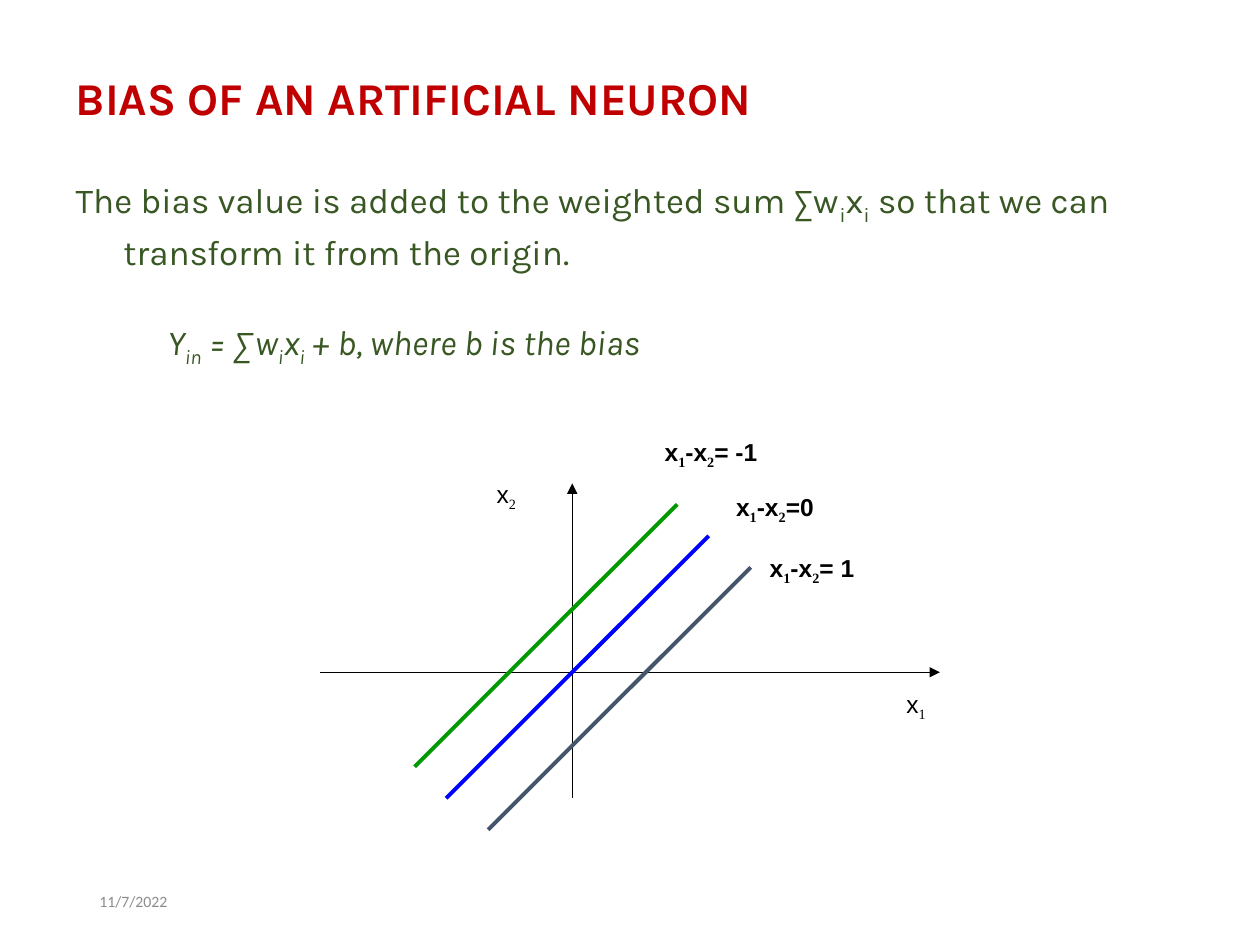
import pptx
import pptx.dml.color
import pptx.enum.shapes
import pptx.enum.text
import pptx.oxml.ns
import pptx.util
from lxml import etree

WIDTH, HEIGHT = pptx.util.Inches(10), pptx.util.Inches(7.5)
GREEN_TEXT = "385723"
LINES = [  # start and end in grid steps from the origin, colour
    ((10, 16), (-15, -9), "009900"),
    ((13, 13), (-12, -12), "0000FF"),
    ((17, 10), (-8, -15), "44546A"),
]
LABELS = [  # top left in grid steps from the origin, columns, text, bold
    ((13.8, 17.8), 11, "x_1_-x_2_=0", True),
    ((17, 12), 12.4, "x_1_-x_2_= 1", True),
    ((30, -1), 6, "x_1_", False),
    ((-9, 19), 6, "x_2_", False),
    ((7, 23), 13.4, "x_1_-x_2_= -1", True),
]


def color(hex_string):
    return pptx.dml.color.RGBColor.from_string(hex_string)


def share_box(left, top, width, height):
    """Turn shares of the slide into lengths."""
    return (round(left * WIDTH), round(top * HEIGHT),
            round(width * WIDTH), round(height * HEIGHT))


def place(shape, box):
    shape.left, shape.top, shape.width, shape.height = box


def style(paragraph, font_name, size, hex_string, bold=False, italic=False):
    font = paragraph.font
    font.name, font.size = font_name, pptx.util.Pt(size)
    font.bold, font.italic = bold, italic
    font.color.rgb = color(hex_string)


def write_subscripted(paragraph, text, subscript_font=None):
    """Write text in which underscores enclose each subscript."""
    for index, part in enumerate(text.split("_")):
        if not part:
            continue
        run = paragraph.add_run()
        run.text = part
        if index % 2:
            run.font._element.set("baseline", "-25000")
            if subscript_font:
                run.font.name = subscript_font


def fill_title(title, box):
    place(title, box)
    frame = title.text_frame
    frame.text = "BIAS OF AN ARTIFICIAL NEURON"
    frame.vertical_anchor = pptx.enum.text.MSO_ANCHOR.TOP
    paragraph = frame.paragraphs[0]
    paragraph.alignment = pptx.enum.text.PP_ALIGN.LEFT
    style(paragraph, "Karla", 26, "C00000", bold=True)


def fill_body(body, box):
    place(body, box)
    frame = body.text_frame
    rows = [
        ("The bias value is added to the weighted sum ∑w_i_x_i_ so that we can "
         "transform it from the origin.", 0.38, -0.38, 0, False),
        ("Y_in_ = ∑w_i_x_i_ + b, where b is the bias", 0.73, 0, 25, True),
    ]
    for index, (text, margin, indent, space, italic) in enumerate(rows):
        paragraph = frame.add_paragraph() if index else frame.paragraphs[0]
        write_subscripted(paragraph, text)
        style(paragraph, "Karla", 20, GREEN_TEXT, italic=italic)
        paragraph.line_spacing = 1.1
        paragraph.space_before = pptx.util.Pt(space)
        properties = paragraph._p.get_or_add_pPr()
        properties.set("marL", str(pptx.util.Inches(margin)))
        properties.set("indent", str(pptx.util.Inches(indent)))
        bullet = etree.Element(pptx.oxml.ns.qn("a:buNone"))
        properties.insert_element_before(bullet, "a:tabLst", "a:defRPr", "a:extLst")


def add_line(shapes, start, end, hex_string, width, arrow=False):
    connector = shapes.add_connector(
        pptx.enum.shapes.MSO_CONNECTOR.STRAIGHT, *start, *end)
    connector.line.color.rgb = color(hex_string)
    connector.line.width = pptx.util.Pt(width)
    if arrow:
        etree.SubElement(connector.line._get_or_add_ln(),
                         pptx.oxml.ns.qn("a:tailEnd"), type="triangle")
    etree.SubElement(connector._element.spPr, pptx.oxml.ns.qn("a:effectLst"))


def add_plot(slide, box):
    """Draw axes, lines and labels on a grid of 59 columns and 38 rows."""
    left, top, width, height = box
    column, row = width / 59, height / 38

    def point(x, y):
        return round(left + (24 + x) * column), round(top + (23 - y) * row)

    shapes = slide.shapes.add_group_shape().shapes
    for start, end in [((-24, 0), (35, 0)), ((0, -12), (0, 18))]:
        add_line(shapes, point(*start), point(*end), "000000", 0.75, arrow=True)
    for start, end, hex_string in LINES:
        add_line(shapes, point(*start), point(*end), hex_string, 2.25)
    for corner, columns, text, bold in LABELS:
        label = shapes.add_textbox(*point(*corner), round(columns * column),
                                   round(4 * row))
        frame = label.text_frame
        frame.word_wrap = True
        frame.margin_left = pptx.util.Inches(0.15)
        write_subscripted(frame.paragraphs[0], text, "Times New Roman")
        style(frame.paragraphs[0], "Arial", 14, "000000", bold=bold)


def add_date(slide, box):
    frame = slide.shapes.add_textbox(*box).text_frame
    frame.word_wrap = True
    frame.vertical_anchor = pptx.enum.text.MSO_ANCHOR.MIDDLE
    frame.text = "11/7/2022"
    style(frame.paragraphs[0], "Calibri", 9, "8C8C8C")


def main():
    presentation = pptx.Presentation()
    presentation.slide_width, presentation.slide_height = WIDTH, HEIGHT
    slide = presentation.slides.add_slide(presentation.slide_layouts[1])
    fill_title(slide.shapes.title, share_box(0.05, 0.067, 0.9, 0.072))
    fill_body(slide.placeholders[1], share_box(0.05, 0.177, 0.9, 0.333))
    add_plot(slide, share_box(0.254, 0.456, 0.492, 0.422))
    add_date(slide, share_box(0.069, 0.927, 0.225, 0.053))
    presentation.save("out.pptx")


if __name__ == "__main__":
    main()
